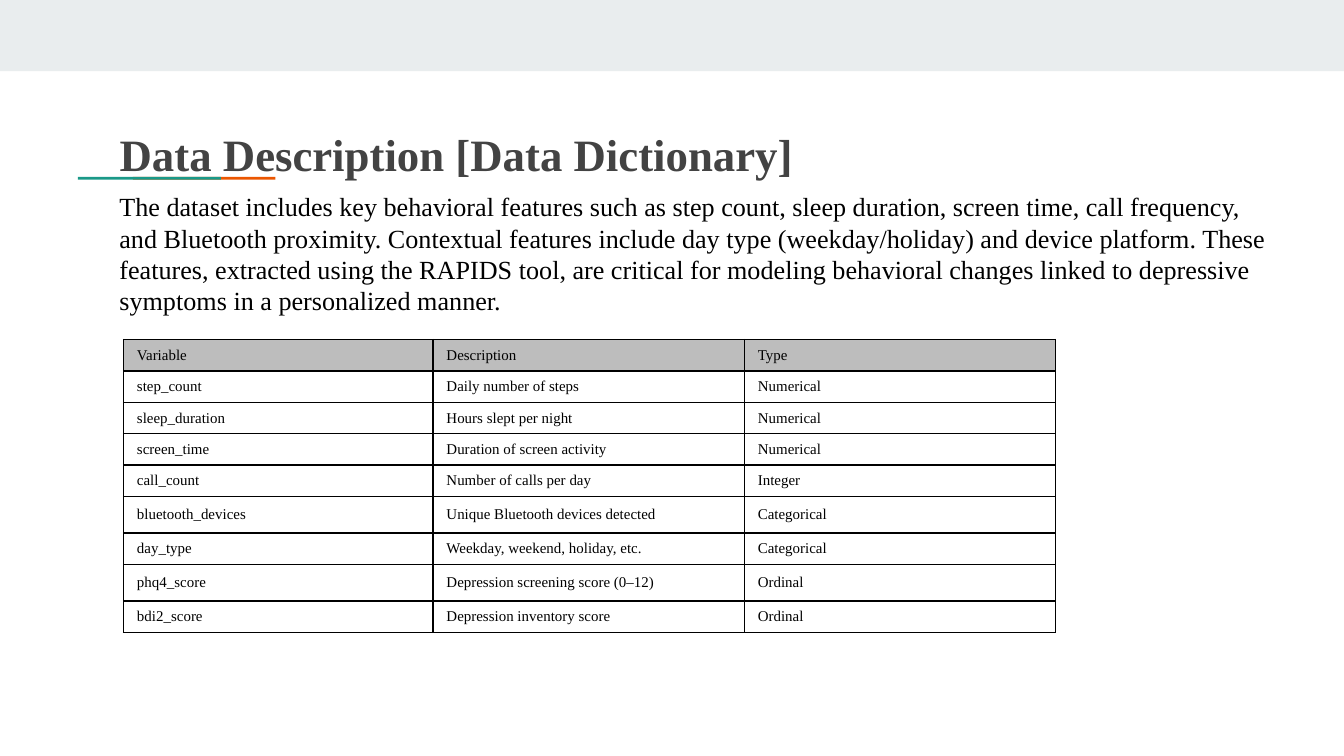
import pptx
import pptx.util
import pptx.dml.color
import pptx.enum.shapes
import pptx.enum.text
import pptx.oxml.ns
import lxml.etree

Pt = pptx.util.Pt
FONT = "Times New Roman"
COLORS = {
    "band": "E9EDEE",
    "orange": "EB5600",
    "teal": "1A9988",
    "title": "434343",
    "text": "000000",
    "head": "BDBDBD",
}
INTRO = (
    "The dataset includes key behavioral features such as step count, sleep "
    "duration, screen time, call frequency, and Bluetooth proximity. Contextual "
    "features include day type (weekday/holiday) and device platform. These "
    "features, extracted using the RAPIDS tool, are critical for modeling "
    "behavioral changes linked to depressive symptoms in a personalized manner."
)
ROWS = [
    ("Variable", "Description", "Type"),
    ("step_count", "Daily number of steps", "Numerical"),
    ("sleep_duration", "Hours slept per night", "Numerical"),
    ("screen_time", "Duration of screen activity", "Numerical"),
    ("call_count", "Number of calls per day", "Integer"),
    ("bluetooth_devices", "Unique Bluetooth devices detected", "Categorical"),
    ("day_type", "Weekday, weekend, holiday, etc.", "Categorical"),
    ("phq4_score", "Depression screening score (0–12)", "Ordinal"),
    ("bdi2_score", "Depression inventory score", "Ordinal"),
]
WIDTHS = (165.8, 166.8, 166.8)
TALL = ("bluetooth_devices", "phq4_score")


def rgb(name):
    return pptx.dml.color.RGBColor.from_string(COLORS[name])


def style(frame, size, color, bold=False):
    for par in frame.paragraphs:
        for run in par.runs:
            run.font.name = FONT
            run.font.size = Pt(size)
            run.font.bold = bold
            run.font.color.rgb = rgb(color)


def add_bar(slide, color, left, top, width, height):
    bar = slide.shapes.add_shape(
        pptx.enum.shapes.MSO_SHAPE.RECTANGLE,
        Pt(left), Pt(top), Pt(width), Pt(height))
    bar.shadow.inherit = False
    bar.fill.solid()
    bar.fill.fore_color.rgb = rgb(color)
    bar.line.fill.background()


def set_title(slide, text):
    title = slide.shapes.title
    title.left, title.top = Pt(56.9), Pt(31.7)
    title.width, title.height = Pt(605.5), Pt(54.7)
    frame = title.text_frame
    frame.text = text
    frame.word_wrap = True
    frame.auto_size = pptx.enum.text.MSO_AUTO_SIZE.NONE
    frame.vertical_anchor = pptx.enum.text.MSO_ANCHOR.TOP
    frame.margin_left = frame.margin_right = Pt(7.2)
    frame.margin_top = frame.margin_bottom = Pt(7.2)
    par = frame.paragraphs[0]
    par.alignment = pptx.enum.text.PP_ALIGN.JUSTIFY
    par.line_spacing = 2.0
    style(frame, 24, "title", bold=True)


def add_text(slide, text):
    box = slide.shapes.add_textbox(Pt(56.9), Pt(98.6), Pt(636.5), Pt(126))
    frame = box.text_frame
    frame.word_wrap = True
    frame.text = text
    style(frame, 14, "text")


def add_edges(cell):
    """Draw a thin line on all four sides of the cell."""
    props = cell._tc.get_or_add_tcPr()
    qn = pptx.oxml.ns.qn
    for spot, side in enumerate(("lnL", "lnR", "lnT", "lnB")):
        line = lxml.etree.Element(qn("a:" + side), w=str(Pt(0.75)))
        fill = lxml.etree.SubElement(line, qn("a:solidFill"))
        lxml.etree.SubElement(fill, qn("a:srgbClr"), val=COLORS["text"])
        props.insert(spot, line)


def add_grid(slide):
    shape = slide.shapes.add_table(
        len(ROWS), len(WIDTHS), Pt(66.2), Pt(181.9), Pt(sum(WIDTHS)), Pt(157))
    table = shape.table
    table.first_row = table.horz_banding = False
    for col, width in zip(table.columns, WIDTHS):
        col.width = Pt(width)
    for r, row in enumerate(ROWS):
        table.rows[r].height = Pt(19.6 if row[0] in TALL else 16.8)
        for c, text in enumerate(row):
            cell = table.cell(r, c)
            cell.text_frame.text = text
            cell.vertical_anchor = pptx.enum.text.MSO_ANCHOR.MIDDLE
            style(cell.text_frame, 8, "text")
            if r == 0:
                cell.fill.solid()
                cell.fill.fore_color.rgb = rgb("head")
            else:
                cell.fill.background()
            add_edges(cell)


def main():
    deck = pptx.Presentation()
    deck.slide_width, deck.slide_height = Pt(720), Pt(405)
    slide = deck.slides.add_slide(deck.slide_layouts[5])
    add_bar(slide, "band", 0, 0, 720, 38.2)
    add_bar(slide, "orange", 71.2, 94.8, 76.3, 1.5)
    add_bar(slide, "teal", 41.8, 94.8, 76.6, 1.5)
    set_title(slide, "Data Description [Data Dictionary]")
    add_text(slide, INTRO)
    add_grid(slide)
    deck.save("out.pptx")


if __name__ == "__main__":
    main()
